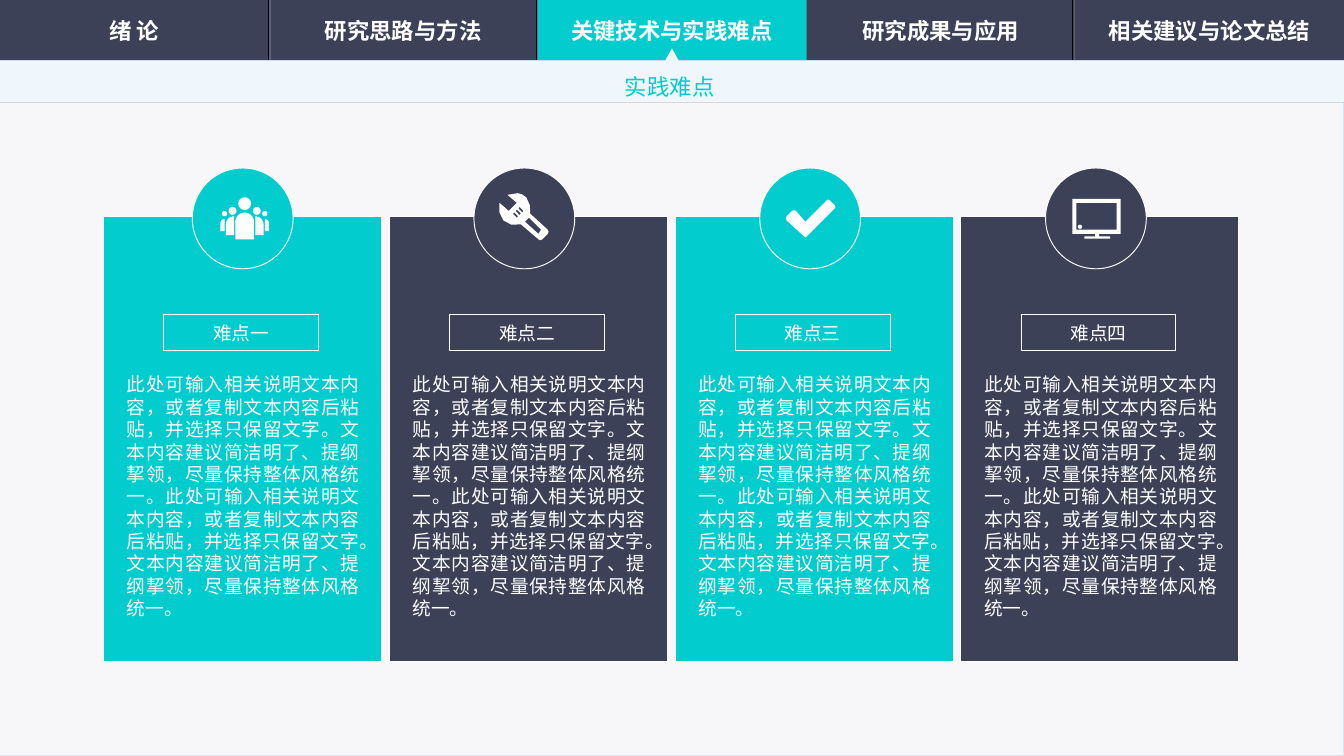
import math
from dataclasses import dataclass

import pptx
import pptx.dml.color
import pptx.enum.lang
import pptx.enum.shapes
import pptx.enum.text
import pptx.oxml
import pptx.oxml.ns
import pptx.util

Pt = pptx.util.Pt
SHAPE = pptx.enum.shapes.MSO_SHAPE
ALIGN = pptx.enum.text.PP_ALIGN
ANCHOR = pptx.enum.text.MSO_ANCHOR


@dataclass(frozen=True)
class Theme:
    teal: str = "03CCCE"
    navy: str = "3C4157"
    slate: str = "3B445B"
    white: str = "FFFFFF"
    page: str = "F7F7F9"
    page_edge: str = "D4E7F9"
    band: str = "EFF6FC"
    rule: str = "D9D9D9"
    groove_dark: str = "000000"
    groove_light: str = "596181"
    heading: str = "Noto Sans CJK SC"
    body: str = "Arial"
    label: str = "Arial Narrow"
    heading_size: float = 12
    body_size: float = 10
    hairline: float = 0.5


THEME = Theme()
WIDTH, HEIGHT = 720, 405
NAV_HEIGHT, BAND_BOTTOM = 32.4, 54.7
TABS = ["绪 论", "研究思路与方法", "关键技术与实践难点", "研究成果与应用", "相关建议与论文总结"]
ACTIVE_TAB = 2
DESCRIPTION = (
    "此处可输入相关说明文本内容，或者复制文本内容后粘贴，并选择只保留文字。"
    "文本内容建议简洁明了、提纲挈领，尽量保持整体风格统一。"
) * 2


def rgb(color):
    return pptx.dml.color.RGBColor.from_string(color)


def set_text(shape, text, *, font, size, color=THEME.white, bold=False, align=ALIGN.CENTER,
             anchor=ANCHOR.MIDDLE, wrap=True, spacing=None, inset=None):
    frame = shape.text_frame
    frame.word_wrap = wrap
    frame.auto_size = pptx.enum.text.MSO_AUTO_SIZE.NONE
    frame.vertical_anchor = anchor
    if inset is not None:
        frame.margin_left = frame.margin_right = Pt(inset)
        frame.margin_top = frame.margin_bottom = Pt(inset)
    paragraph = frame.paragraphs[0]
    paragraph.alignment = align
    if spacing is not None:
        paragraph.line_spacing = spacing
    run = paragraph.add_run()
    run.text = text
    run.font.name, run.font.size, run.font.bold = font, Pt(size), bold
    run.font.color.rgb = rgb(color)
    run.font.language_id = pptx.enum.lang.MSO_LANGUAGE_ID.SIMPLIFIED_CHINESE
    east_asian = pptx.oxml.parse_xml(
        f'<a:ea {pptx.oxml.ns.nsdecls("a")} typeface="{THEME.heading}"/>')
    run.font._element.find(pptx.oxml.ns.qn("a:latin")).addnext(east_asian)


def paint(shape, fill, line=None):
    shape.shadow.inherit = False
    shape.fill.solid()
    shape.fill.fore_color.rgb = rgb(fill)
    if line:
        shape.line.color.rgb = rgb(line)
        shape.line.width = Pt(THEME.hairline)
    else:
        shape.line.fill.background()
    return shape


def add_box(slide, box, fill, line=None, kind=SHAPE.RECTANGLE):
    shape = slide.shapes.add_shape(kind, *map(Pt, box))
    return paint(shape, fill, line)


def add_line(slide, start, end, color, width=THEME.hairline):
    connector = slide.shapes.add_connector(
        pptx.enum.shapes.MSO_CONNECTOR.STRAIGHT, *map(Pt, (*start, *end)))
    connector.line.color.rgb = rgb(color)
    connector.line.width = Pt(width)
    connector._element.spPr.append(
        pptx.oxml.parse_xml(f'<a:effectLst {pptx.oxml.ns.nsdecls("a")}/>'))


def add_outline(slide, contours, fill, center=(0, 0)):
    """Fill closed contours, given in points from the center; inner ones are holes."""
    builder = None
    for contour in contours:
        points = [(Pt(center[0] + x), Pt(center[1] + y)) for x, y in contour]
        if builder is None:
            builder = slide.shapes.build_freeform(*points[0])
        else:
            builder.move_to(*points[0])
        builder.add_line_segments(points[1:], close=True)
    paint(builder.convert_to_shape(), fill)


def arc(x, y, radius_x, radius_y, start=0, end=360, steps=24):
    angles = [math.radians(start + (end - start) * i / steps) for i in range(steps + 1)]
    return [(x + radius_x * math.cos(a), y + radius_y * math.sin(a)) for a in angles]


def rectangle(left, top, right, bottom):
    return [(left, top), (right, top), (right, bottom), (left, bottom)]


def people_icon():
    middle = 1.1
    contours = [arc(middle, -7.9, 3.4, 3.4),
                arc(middle, 1.9, 5, 5, 180, 360) + [(middle + 5, 11.2), (middle - 5, 11.2)]]
    for side in (-1, 1):
        for head_x, head_y, radius, inner, outer, top, bottom in (
                (6.5, -4, 2.1, 5.7, 10.1, -1.1, 9), (10.8, -2.5, 1.4, 10.8, 13, 0.4, 6.8)):
            contours.append(arc(middle + side * head_x, head_y, radius, radius))
            width = outer - inner
            shoulder = arc(inner, top + width, width, width, -90, 0)
            body = shoulder + [(outer, bottom), (inner, bottom)]
            contours.append([(middle + side * x, y) for x, y in body])
    return contours


def wrench_icon():
    outline = [(1.1, -11.2), (-1.2, -12.9), (-3.6, -13.5), (-9, -12.6), (-4, -8.3), (-8.3, -4),
               (-13.3, -8.3), (-13.3, -3.2), (-11.2, 1.1), (-6.8, 3.4), (-1.8, 3.2),
               (7.6, 11.2), (8.6, 11.7), (9.7, 11.2), (12.6, 8.3), (13, 7.2), (12.6, 6.1),
               (3.2, -2.5), (3, -7)]
    slot = [(-3.2, -5.4), (-2.5, -6.1), (-0.4, -4), (-1.1, -3.2)]
    slots = [[(x - 1.44 * i, y + 1.44 * i) for x, y in slot] for i in range(3)]
    return [outline, *slots, [(9, 6.1), (7.6, 8.3), (0.4, 1.8), (2.5, -0.4)]]


def check_icon():
    return [[(13.3, -5.4), (-1.8, 9.7), (-2.5, 10.1), (-3.2, 9.7), (-12.6, 1.1), (-12.9, 0),
             (-12.6, -1.1), (-9.7, -4), (-8.6, -4.4), (-7.6, -4), (-2.5, 1.8), (9, -9.7),
             (9.7, -10.1), (10.4, -9.7), (13.3, -6.8), (13.6, -6.1)]]


def monitor_icon():
    return [rectangle(-12.6, -10.4, 13.3, 8.3), rectangle(-10.4, -8.3, 11.2, 6.1),
            arc(-8.5, 4.5, 1.1, 1.1), rectangle(-0.4, 8.3, 1.8, 9.7),
            rectangle(-6.1, 9.7, 7.6, 10.8)]


def add_navigation(slide, box):
    left, top, width, height = box
    tab_width = width / len(TABS)
    add_box(slide, box, THEME.navy)
    for i in range(1, len(TABS)):
        x = left + 143.7 * i
        for shift, color, line_width in ((0, THEME.groove_dark, THEME.hairline),
                                         (0.9, THEME.groove_light, 0.75)):
            add_line(slide, (x + shift, top), (x + shift, top + height), color, line_width)
    add_box(slide, (left + tab_width * ACTIVE_TAB, top, tab_width, height), THEME.teal)
    for i, name in enumerate(TABS):
        label = slide.shapes.add_textbox(
            *map(Pt, (left + tab_width * i, top + 5, tab_width, 22.4)))
        set_text(label, name, font=THEME.heading, size=THEME.heading_size, bold=True)


def add_title_band(slide, box):
    left, top, width, height = box
    middle, right, bottom = left + width / 2, left + width, top + height
    add_outline(slide, [[(middle, top - 6.5), (middle + 3.6, top), (right, top), (right, bottom),
                         (left, bottom), (left, top), (middle - 3.6, top)]], THEME.band)
    add_line(slide, (left, bottom), (right, bottom), THEME.rule)
    title = slide.shapes.title
    title.left, title.top, title.width, title.height = map(Pt, (middle - 32.4, 29.5, 63.4, 26.6))
    set_text(title, "实践难点", font=THEME.heading, size=THEME.heading_size, color=THEME.teal,
             align=ALIGN.LEFT, wrap=False, spacing=1.5)
    slide.shapes._spTree.append(title._element)  # bring in front of the band


def add_card(slide, box, name, color, icon, badge_shift):
    left, top, width, height = box
    add_box(slide, box, color, THEME.white)
    radius = 27
    center = (left + width / 2 + badge_shift, top + 1)
    add_box(slide, (center[0] - radius, center[1] - radius, 2 * radius, 2 * radius),
            color, THEME.white, SHAPE.OVAL)
    add_outline(slide, icon, THEME.white, center)
    label = add_box(slide, (left + 32.2, top + 52.5, 83, 19.5), color, THEME.white)
    set_text(label, name, font=THEME.label, size=THEME.body_size)
    description = slide.shapes.add_textbox(*map(Pt, (left + 12.5, top + 84, 124.6, 133)))
    set_text(description, DESCRIPTION, font=THEME.body, size=THEME.body_size,
             align=ALIGN.JUSTIFY, anchor=ANCHOR.TOP, spacing=Pt(12), inset=0)


def add_cards(slide, box):
    left, top, width, height = box
    cards = [("难点一", THEME.teal, people_icon(), 0), ("难点二", THEME.navy, wrench_icon(), -2.2),
             ("难点三", THEME.teal, check_icon(), -2.2), ("难点四", THEME.navy, monitor_icon(), -2.2)]
    card_width = 149
    pitch = (width - card_width) / (len(cards) - 1)
    for i, card in enumerate(cards):
        add_card(slide, (left + pitch * i, top, card_width, height), *card)


def main():
    presentation = pptx.Presentation()
    presentation.slide_width, presentation.slide_height = Pt(WIDTH), Pt(HEIGHT)
    slide = presentation.slides.add_slide(presentation.slide_layouts.get_by_name("Title Only"))
    background = slide.background.fill
    background.gradient()
    background.gradient_angle = 315
    for stop, color in zip(background.gradient_stops, (THEME.teal, THEME.slate)):
        stop.color.rgb = rgb(color)
    add_box(slide, (0, NAV_HEIGHT, WIDTH, HEIGHT - NAV_HEIGHT), THEME.page, THEME.page_edge)
    add_navigation(slide, (0, 0, WIDTH, NAV_HEIGHT))
    add_title_band(slide, (0, NAV_HEIGHT, WIDTH, BAND_BOTTOM - NAV_HEIGHT))
    add_cards(slide, (55.5, 116, 608.3, 238.3))
    presentation.save("out.pptx")


if __name__ == "__main__":
    main()
